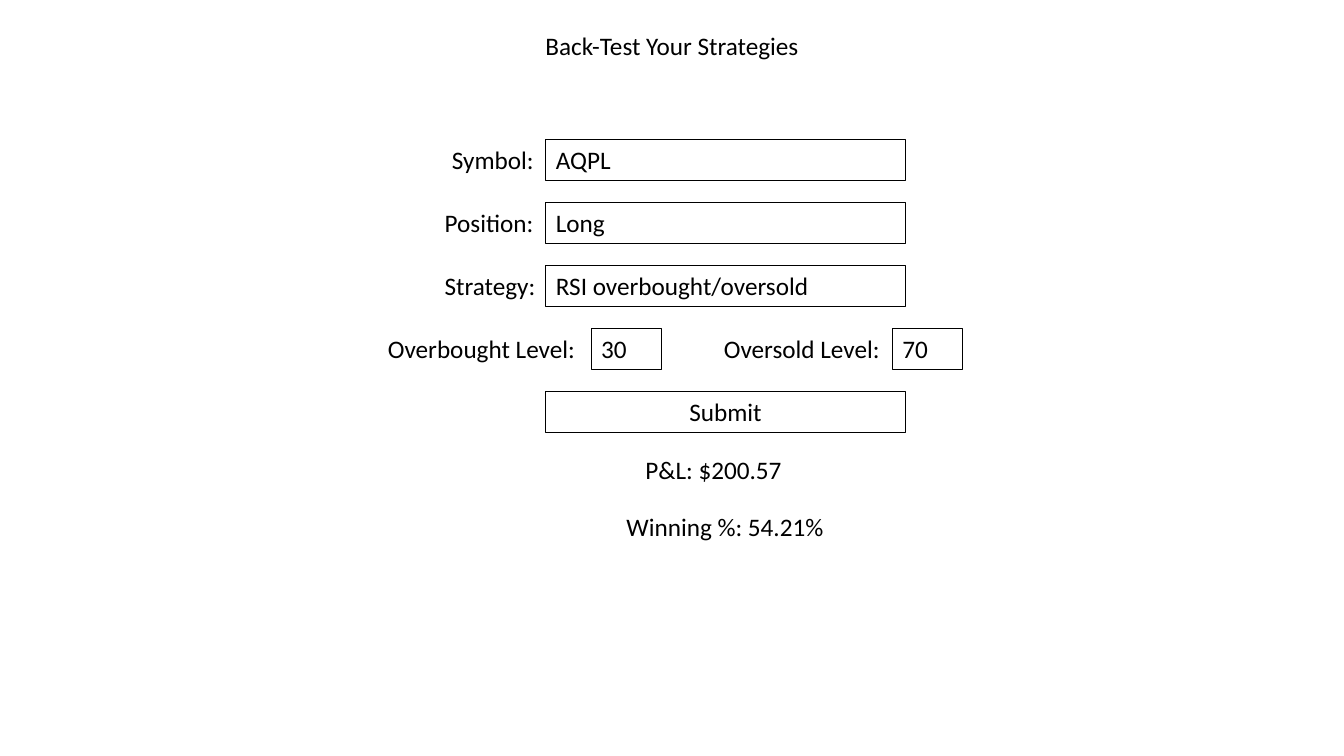
from pptx import Presentation
from pptx import util as u
from pptx.dml.color import RGBColor
from pptx.enum import shapes, text

EMU_PER_PX = 9525
COLORS = {"ink": "000000"}
FONT = "Calibri"
BOX_HEIGHT = 39
ROW_TOP, ROW_STEP = 133, 60
FIELD_LEFT, FIELD_WIDTH = 520, 342
LEVEL_WIDTH = 67


def px(length):
    return u.Emu(length * EMU_PER_PX)


def color(name):
    return RGBColor.from_string(COLORS[name])


def write(shape, words, size=18, ink="ink", centered=False):
    frame = shape.text_frame
    frame.word_wrap = True
    frame.auto_size = text.MSO_AUTO_SIZE.SHAPE_TO_FIT_TEXT
    frame.vertical_anchor = text.MSO_ANCHOR.TOP
    paragraph = frame.paragraphs[0]
    paragraph.alignment = text.PP_ALIGN.CENTER if centered else text.PP_ALIGN.LEFT
    run = paragraph.add_run()
    run.text = words
    run.font.name = FONT
    run.font.size = u.Pt(size)
    run.font.color.rgb = color(ink)


def add_label(slide, words, left, top, width, **text_format):
    shape = slide.shapes.add_textbox(px(left), px(top), px(width), px(BOX_HEIGHT))
    write(shape, words, **text_format)


def add_field(slide, words, left, top, width, **text_format):
    shape = slide.shapes.add_shape(
        shapes.MSO_SHAPE.RECTANGLE, px(left), px(top), px(width), px(BOX_HEIGHT)
    )
    shape.shadow.inherit = False
    shape.fill.background()
    shape.line.color.rgb = color("ink")
    shape.line.width = u.Pt(0.75)
    write(shape, words, **text_format)


def main():
    presentation = Presentation()
    presentation.slide_width = px(1280)
    presentation.slide_height = px(720)
    slide = presentation.slides.add_slide(presentation.slide_layouts[6])

    add_label(slide, "Back-Test Your Strategies", 461, 24, 358, centered=True)

    entries = [
        ("Symbol:", "AQPL", 99),
        ("Position:", "Long", 106),
        ("Strategy:", "RSI overbought/oversold", 106),
    ]
    row_tops = [ROW_TOP + row * ROW_STEP for row in range(len(entries) + 2)]
    for top, (label, value, width) in zip(row_tops, entries):
        add_label(slide, label, FIELD_LEFT - width, top, width)
        add_field(slide, value, FIELD_LEFT, top, FIELD_WIDTH)

    level_top, submit_top = row_tops[-2:]
    levels = [("Overbought Level:", "30", 360, 203), ("Oversold Level:", "70", 680, 170)]
    for label, value, left, width in levels:
        add_label(slide, label, left, level_top, width)
        add_field(slide, value, left + width, level_top, LEVEL_WIDTH)

    add_field(slide, "Submit", FIELD_LEFT, submit_top, FIELD_WIDTH, centered=True)

    add_label(slide, "P&L: $200.57", 589, 428, 181, centered=True)
    add_label(slide, "Winning %: 54.21%", 574, 482, 233, centered=True)

    presentation.save("out.pptx")


if __name__ == "__main__":
    main()
